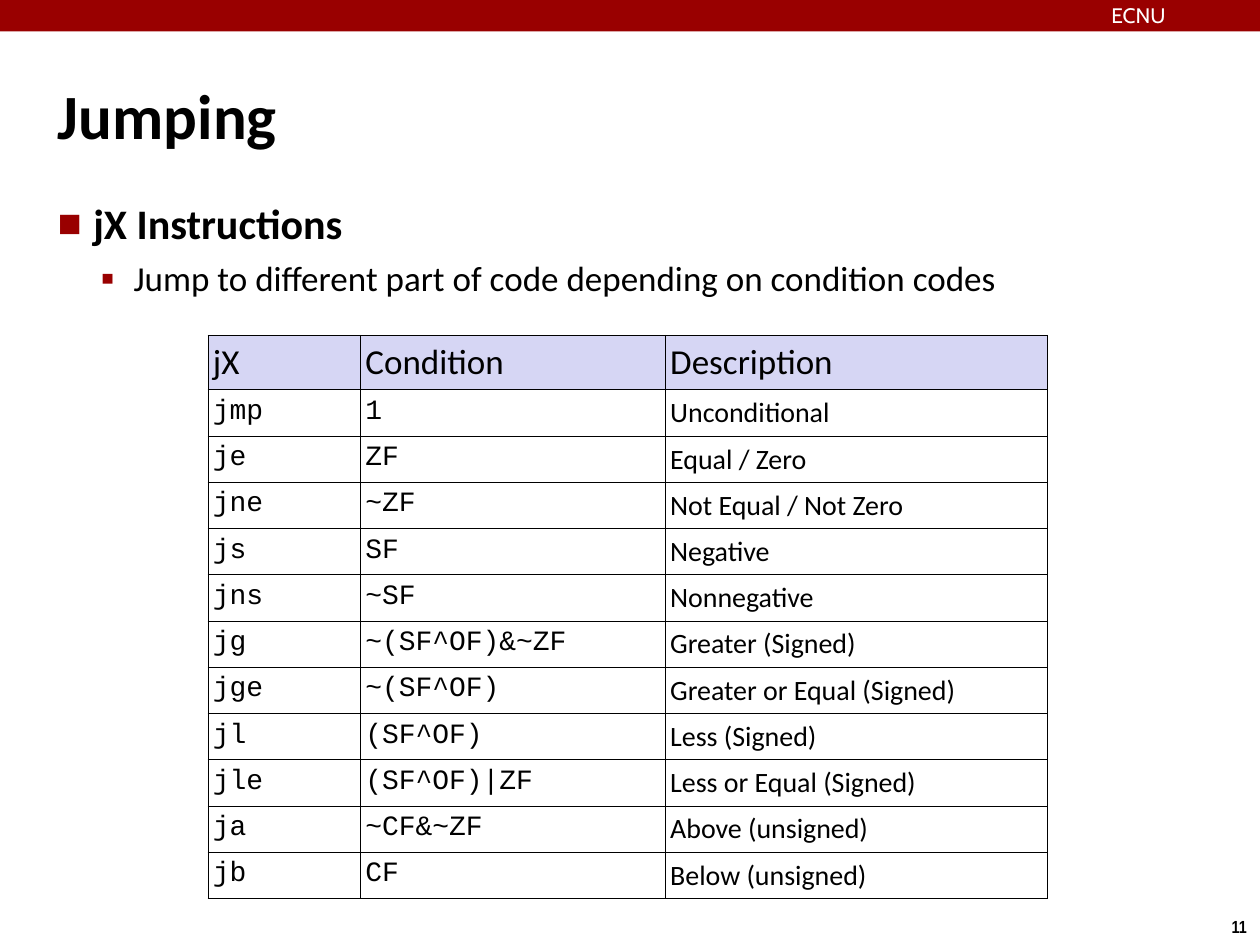
from lxml.etree import SubElement
from pptx import Presentation
from pptx.dml.color import RGBColor
from pptx.enum.shapes import MSO_SHAPE as SHAPE
from pptx.enum.text import MSO_ANCHOR as ANCHOR, PP_ALIGN as ALIGN
from pptx.oxml.ns import qn
from pptx.util import Pt

PX = 9144  # EMU per px, at 100 px to the inch
RED, BLACK, WHITE, LAVENDER = "990000", "000000", "FFFFFF", "D6D6F4"
BODY_FONT, CODE_FONT = "Calibri", "Courier New"

JUMPS = [
    ("jX", "Condition", "Description"),
    ("jmp", "1", "Unconditional"),
    ("je", "ZF", "Equal / Zero"),
    ("jne", "~ZF", "Not Equal / Not Zero"),
    ("js", "SF", "Negative"),
    ("jns", "~SF", "Nonnegative"),
    ("jg", "~(SF^OF)&~ZF", "Greater (Signed)"),
    ("jge", "~(SF^OF)", "Greater or Equal (Signed)"),
    ("jl", "(SF^OF)", "Less (Signed)"),
    ("jle", "(SF^OF)|ZF", "Less or Equal (Signed)"),
    ("ja", "~CF&~ZF", "Above (unsigned)"),
    ("jb", "CF", "Below (unsigned)"),
]


def px(*lengths):
    return [length * PX for length in lengths]


def color(hex_string):
    return RGBColor.from_string(hex_string)


def write(para, text, size, font=BODY_FONT, fill=BLACK, bold=False, align=ALIGN.LEFT):
    para.alignment = align
    span = para.add_run()
    span.text = text
    span.font.size, span.font.name, span.font.bold = Pt(size), font, bold
    span.font.color.rgb = color(fill)


def set_margins(holder, across, down):
    holder.margin_left = holder.margin_right = across * PX
    holder.margin_top = holder.margin_bottom = down * PX


def move(shape, box):
    shape.left, shape.top, shape.width, shape.height = px(*box)


def add_label(page, box, text, margins=(0, 0), wrap=True, **style):
    frame = page.shapes.add_textbox(*px(*box)).text_frame
    frame.word_wrap = wrap
    set_margins(frame, *margins)
    write(frame.paragraphs[0], text, **style)


def set_bullet(para, char, percent, margin, hang):
    props = para._p.get_or_add_pPr()
    props.set("marL", str(margin * PX))
    props.set("indent", str(-hang * PX))
    tint = SubElement(props, qn("a:buClr"))
    SubElement(tint, qn("a:srgbClr"), val=RED)
    SubElement(props, qn("a:buSzPct"), val=str(percent * 1000))
    SubElement(props, qn("a:buFont"), typeface=BODY_FONT)
    SubElement(props, qn("a:buChar"), char=char)


def set_borders(cell, points):
    props = cell._tc.get_or_add_tcPr()
    for side in ("lnL", "lnR", "lnT", "lnB"):
        line = SubElement(props, qn(f"a:{side}"), w=str(int(Pt(points))))
        SubElement(SubElement(line, qn("a:solidFill")), qn("a:srgbClr"), val=BLACK)


def add_banner(page, box):
    left, top, width, _ = box
    bar = page.shapes.add_shape(SHAPE.RECTANGLE, *px(*box))
    bar.shadow.inherit = False
    bar.fill.solid()
    bar.fill.fore_color.rgb = color(RED)
    bar.line.fill.background()
    add_label(page, (left + width - 119, top + 2, 144, 19), "ECNU",
              size=12, font="Cabin", fill=WHITE)


def fill_title(title, box):
    move(title, box)
    frame = title.text_frame
    frame.vertical_anchor = ANCHOR.MIDDLE
    set_margins(frame, 4, 4)
    write(frame.paragraphs[0], "Jumping", size=36, bold=True)


def fill_body(body, box):
    move(body, box)
    frame = body.text_frame
    set_margins(frame, 4, 4)
    heading, detail = frame.paragraphs[0], frame.add_paragraph()
    heading.space_before, detail.space_before = Pt(6), Pt(5)
    detail.level = 1
    write(heading, "jX Instructions", size=24, bold=True)
    write(detail, "Jump to different part of code depending on condition codes", size=20)
    set_bullet(heading, "■", 60, margin=28, hang=28)
    set_bullet(detail, "▪", 110, margin=60, hang=26)


def add_jump_table(page, box):
    widths = (121, 242, 303)
    table = page.shapes.add_table(len(JUMPS), len(widths), *px(*box)).table
    table.first_row = table.horz_banding = False
    for column, width in zip(table.columns, widths):
        column.width = width * PX
    for row_index, texts in enumerate(JUMPS):
        header = row_index == 0
        table.rows[row_index].height = (42 if header else 35) * PX
        for column_index, text in enumerate(texts):
            cell = table.cell(row_index, column_index)
            set_margins(cell, 4, 5)
            set_borders(cell, 0.45)
            if header:
                cell.fill.solid()
                cell.fill.fore_color.rgb = color(LAVENDER)
            else:
                cell.fill.background()
            code = not header and column_index < 2
            write(cell.text_frame.paragraphs[0], text, size=20 if header else 16,
                  font=CODE_FONT if code else BODY_FONT)


def main():
    deck = Presentation()
    deck.slide_width, deck.slide_height = px(1000, 750)
    page = deck.slides.add_slide(deck.slide_layouts[1])

    # Page number and banner
    add_label(page, (946, 722, 75, 27), "11", margins=(10, 5), wrap=False,
              size=10, font="Arial Narrow", bold=True, align=ALIGN.CENTER)
    add_banner(page, (0, 0, 1001, 25))

    # Title, list and table
    fill_title(page.shapes.title, (42, 28, 917, 125))
    fill_body(page.placeholders[1], (42, 153, 917, 94))
    add_jump_table(page, (165, 266, 666, 427))

    deck.save("out.pptx")


if __name__ == "__main__":
    main()
